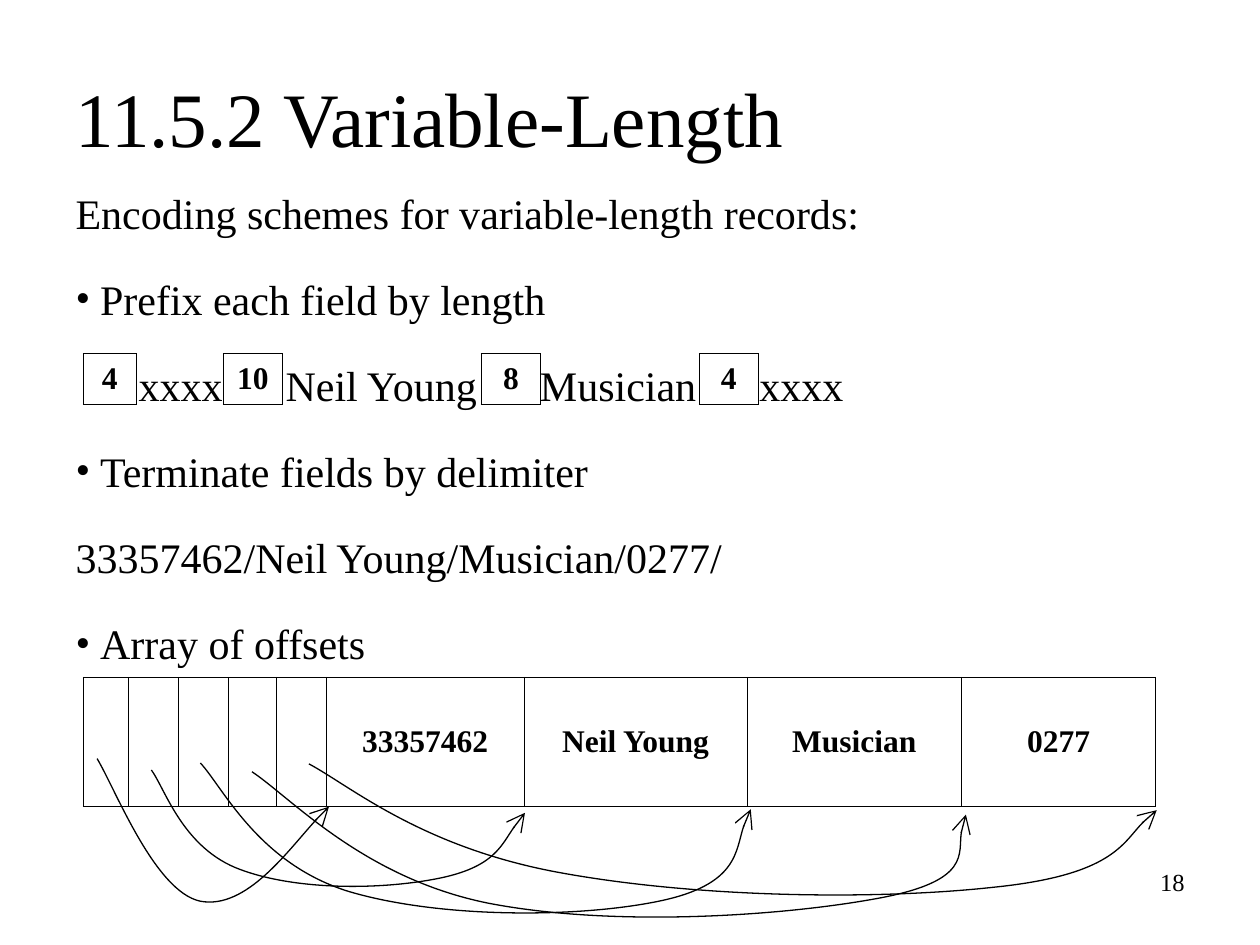
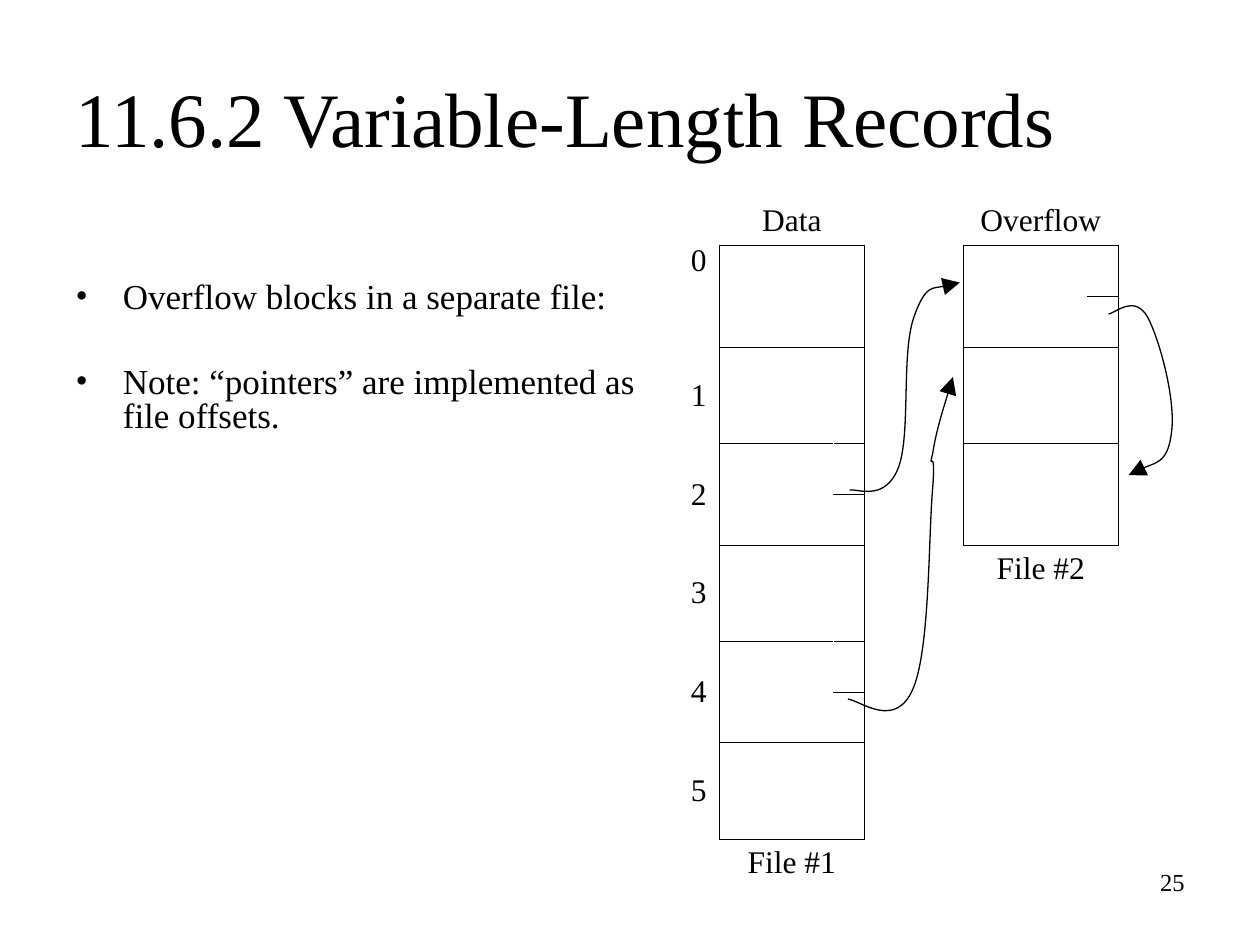
from collections import defaultdict
from dataclasses import dataclass
from itertools import product

from lxml import etree
from pptx import Presentation
from pptx.dml.color import RGBColor
from pptx.enum.text import MSO_ANCHOR, MSO_AUTO_SIZE, PP_ALIGN
from pptx.oxml.ns import qn
from pptx.util import Pt

LEFT, CENTER, RIGHT = PP_ALIGN.LEFT, PP_ALIGN.CENTER, PP_ALIGN.RIGHT
TOP, MIDDLE = MSO_ANCHOR.TOP, MSO_ANCHOR.MIDDLE
NO_AUTOFIT = MSO_AUTO_SIZE.NONE
PLAIN_TABLE = "{2D5ABB26-0587-4C30-8999-92F81FD0307C}"


@dataclass(frozen=True)
class Theme:
    font: str = "Times New Roman"
    ink: str = "000000"
    paper: str = "FFFFFF"
    title: float = 44
    body: float = 24
    note: float = 20
    cell: float = 18
    number: float = 14
    border: float = 0.45
    curve: float = 0.75


THEME = Theme()
INK = RGBColor.from_string(THEME.ink)

TITLE_BOX = (36, 21.6, 648, 90)
NUMBER_BOX = (516, 492, 168, 37)
PREFIX_GAP = 30  # extra width of the space that makes room for a length prefix

# Curves are a start point followed by three points for each Bezier segment.
OFFSET_ARROWS = [
    [(8, 46.5), (18.5, 64), (41, 122.5), (67, 128), (93.5, 133), (126.5, 86.5), (140.5, 74)],
    [(39, 53), (47, 64), (57, 98), (90, 110), (122.5, 122), (170.5, 121.5), (203, 115),
     (235.5, 108.5), (245, 85.5), (252.5, 77.5)],
    [(67, 49), (80, 63), (100, 106.5), (152, 122.5), (204.5, 138), (283, 137.5), (329, 128),
     (375, 118.5), (374.5, 86.5), (381.5, 75.5)],
    [(96.5, 54), (119, 69), (160, 114.5), (231, 129), (302.5, 143), (399, 136.5),
     (453.5, 126.5), (508.5, 116.5), (499, 87.5), (504.5, 78.5)],
    [(129, 49.5), (152.5, 62), (193, 97), (271.5, 111.5), (350, 126), (452, 127.5),
     (520.5, 120), (589, 113), (600, 85), (613.5, 76)],
]
OVERFLOW_POINTERS = [
    [(186.5, 168.5), (192, 168), (207, 175), (214.5, 155.5), (221.5, 136), (216, 92),
     (223, 70.5), (230, 50), (244.5, 52), (249.5, 50)],
    [(185.5, 288), (193, 289), (213, 306), (223, 281.5), (232.5, 258), (231.5, 194.5),
     (234, 167), (236, 140.5), (231, 160), (234, 147.5), (236, 134.5), (243, 112.5),
     (245.5, 104)],
    [(334.5, 68), (339, 67), (349.5, 56.5), (357, 70), (364, 83.5), (373, 117.5),
     (370.5, 135.5), (368.5, 153.5), (351, 156.5), (346, 160)],
]


def add_xml(parent, tag, **attrs):
    el = etree.SubElement(parent, qn(tag))
    for name, value in attrs.items():
        el.set(name, str(value))
    return el


def write(p, text, size, align=LEFT, bold=False):
    p.alignment = align
    r = p.add_run()
    r.text = text
    r.font.name, r.font.size, r.font.bold = THEME.font, Pt(size), bold
    r.font.color.rgb = INK
    return r


def place(sp, box):
    sp.left, sp.top, sp.width, sp.height = map(Pt, box)


def start_slide(prs, title, number):
    """Add a slide with its title and page number."""
    slide = prs.slides.add_slide(prs.slide_layouts[1])
    sp = slide.shapes.title
    place(sp, TITLE_BOX)
    tf = sp.text_frame
    tf.vertical_anchor, tf.auto_size = MIDDLE, NO_AUTOFIT
    write(tf.paragraphs[0], title, THEME.title)
    tf = slide.shapes.add_textbox(*map(Pt, NUMBER_BOX)).text_frame
    tf.word_wrap = True
    write(tf.paragraphs[0], number, THEME.number, RIGHT)
    return slide


def body_list(slide, box, items, size, spacing, gap, indent, inset=3.6):
    """Fill the body; items are (texts, bulleted), and a wide space precedes texts in a list."""
    sp = slide.placeholders[1]
    place(sp, box)
    tf = sp.text_frame
    tf.vertical_anchor, tf.auto_size = TOP, NO_AUTOFIT
    tf.margin_top = Pt(inset)
    for i, (texts, bulleted) in enumerate(items):
        p = tf.add_paragraph() if i else tf.paragraphs[0]
        if isinstance(texts, str):
            write(p, texts, size)
        else:
            for text in texts:
                space = write(p, " ", size)
                space._r.get_or_add_rPr().set("spc", str(PREFIX_GAP * 100))
                write(p, text, size)
        p.line_spacing = spacing
        p.space_before = Pt(gap if i else 0)
        hang = Pt(indent) if bulleted else 0
        pPr = p._p.get_or_add_pPr()
        pPr.set("marL", str(hang))
        pPr.set("indent", str(-hang))
        if bulleted:
            add_xml(pPr, "a:buFont", typeface=THEME.font)
            add_xml(pPr, "a:buChar", char="•")
        else:
            add_xml(pPr, "a:buNone")


def plain_table(slide, left, top, widths, heights):
    """Add a table without fills or borders."""
    frame = slide.shapes.add_table(len(heights), len(widths), Pt(left), Pt(top),
                                   Pt(sum(widths)), Pt(sum(heights)))
    table = frame.table
    tblPr = table._tbl.tblPr
    tblPr.find(qn("a:tableStyleId")).text = PLAIN_TABLE
    table.first_row = table.horz_banding = False
    for column, width in zip(table.columns, widths):
        column.width = Pt(width)
    for row, height in zip(table.rows, heights):
        row.height = Pt(height)
    for cell in table.iter_cells():
        cell.fill.background()
        cell.text_frame.paragraphs[0].font.size = Pt(THEME.cell)
    return table


def fill_cell(cell, text, align=CENTER, anchor=MIDDLE, bold=False):
    cell.vertical_anchor = anchor
    write(cell.text_frame.paragraphs[0], text, THEME.cell, align, bold)


def inked(sides):
    return dict.fromkeys(sides, THEME.ink)


def draw_borders(table, edges):
    """Draw, for each (row, column), its sides in their colours."""
    for (row, col), colours in edges.items():
        tcPr = table.cell(row, col)._tc.get_or_add_tcPr()
        for i, side in enumerate(s for s in "LRTB" if s in colours):
            ln = add_xml(tcPr, "a:ln" + side, w=Pt(THEME.border))
            add_xml(add_xml(ln, "a:solidFill"), "a:srgbClr", val=colours[side])
            tcPr.insert(i, ln)


def record_row(slide, left, top, widths, height, texts):
    """One row of bordered cells."""
    table = plain_table(slide, left, top, widths, [height])
    for col, text in enumerate(texts):
        if text:
            fill_cell(table.cell(0, col), text, bold=True)
    draw_borders(table, {(0, col): inked("LRTB") for col in range(len(widths))})


def merge(table, first, last):
    if first != last:
        table.cell(*first).merge(table.cell(*last))


def file_block(table, edges, top, bottom, col, has_pointer):
    """Outline a block two columns wide; a pointer block keeps its right column split."""
    right = col + 1
    for row, c in product(range(top, bottom + 1), (col, right)):
        edges[row, c].update(inked(side for side, on in zip(
            "LRTB", (c == col, c == right, row == top, row == bottom)) if on))
    if has_pointer:
        merge(table, (top, col), (bottom, col))
        edges[top, col].update(inked("LTB"))
        edges[top, right].update(inked("B"))
        edges[bottom, right].update(inked("T"))
        for row in range(top, bottom + 1):
            edges[row, col]["R"] = edges[row, right]["L"] = THEME.paper
    else:
        merge(table, (top, col), (bottom, right))
        edges[top, col].update(inked("LRTB"))


def curved_arrow(slide, left, top, points, head):
    start, *rest = [(Pt(left + dx), Pt(top + dy)) for dx, dy in points]
    builder = slide.shapes.build_freeform(*start)
    builder.add_line_segments(rest, close=False)
    sp = builder.convert_to_shape()
    sp.shadow.inherit = False
    sp.fill.background()
    sp.line.color.rgb, sp.line.width = INK, Pt(THEME.curve)
    add_xml(sp.line._get_or_add_ln(), "a:tailEnd", type=head, w="lg", len="lg")
    outline = sp._element.find(".//" + qn("a:path"))
    lines = iter(outline.findall(qn("a:lnTo")))
    for segment in zip(lines, lines, lines):
        bezier = add_xml(outline, "a:cubicBezTo")
        for line in segment:
            bezier.append(line[0])
            outline.remove(line)


def length_prefixes(slide, left, top, height):
    for dx, width, text in ((0, 30.5, "4"), (80, 34, "10"), (227.5, 34, "8"), (352, 34, "4")):
        record_row(slide, left + dx, top, [width], height, [text])


def offset_array(slide, left, top, height):
    widths = [26, 28.5, 28.5, 27.5, 28.5, 113, 127.5, 122.5, 111]
    fields = ["33357462", "Neil Young", "Musician", "0277"]
    record_row(slide, left, top, widths, height, [""] * 5 + fields)
    for points in OFFSET_ARROWS:
        curved_arrow(slide, left, top, points, "arrow")


def overflow_files(slide, left, top):
    """Data file and overflow file side by side, with pointers between blocks."""
    single, tall = 29, 55
    heights = [single] + [single, single, tall] * 3 + [single]
    table = plain_table(slide, left, top, [112, 65, 18, 56.5, 71, 17.5], heights)
    edges = defaultdict(dict)
    blocks = [(1, 2), (3, 3), (4, 5), (6, 6), (7, 8), (9, 9)]
    for i, (first, last) in enumerate(blocks):
        file_block(table, edges, first, last, 1, i in (2, 4))
        merge(table, (first, 0), (last, 0))
        fill_cell(table.cell(first, 0), str(i), RIGHT, MIDDLE if i else TOP)
    table.cell(1, 0).text_frame.paragraphs[0].line_spacing = 0.7
    for i, (first, last) in enumerate(blocks[:3]):
        file_block(table, edges, first, last, 4, i == 0)
    for row, col, text, anchor in ((0, 1, "Data", MIDDLE), (0, 4, "Overflow", MIDDLE),
                                   (10, 1, "File #1", TOP), (6, 4, "File #2", TOP)):
        merge(table, (row, col), (row, col + 1))
        fill_cell(table.cell(row, col), text, anchor=anchor)
    draw_borders(table, edges)
    for points in OVERFLOW_POINTERS:
        curved_arrow(slide, left, top, points, "triangle")


def encoding_slide(prs):
    slide = start_slide(prs, "11.5.2 Variable-Length", "18")
    items = [
        ("Encoding schemes for variable-length records:", False),
        ("Prefix each field by length", True),
        (["xxxx", "Neil Young", "Musician", "xxxx"], False),
        ("Terminate fields by delimiter", True),
        ("33357462/Neil Young/Musician/0277/", False),
        ("Array of offsets", True),
    ]
    body_list(slide, (36, 89, 648, 356), items, THEME.body, 1.5, 6, 14)
    length_prefixes(slide, 47.5, 202, 29)
    offset_array(slide, 47.5, 387, 74)


def overflow_slide(prs):
    slide = start_slide(prs, "11.6.2 Variable-Length Records", "25")
    items = [
        ("Overflow blocks in a separate file:", True),
        ("Note: “pointers” are implemented as file offsets.", True),
    ]
    body_list(slide, (36, 129, 352, 379.5), items, THEME.note, 0.8, 29.5, 27, inset=32.5)
    overflow_files(slide, 299, 111.5)


def main():
    prs = Presentation()
    prs.slide_width, prs.slide_height = Pt(720), Pt(540)
    encoding_slide(prs)
    overflow_slide(prs)
    prs.save("out.pptx")


if __name__ == "__main__":
    main()
